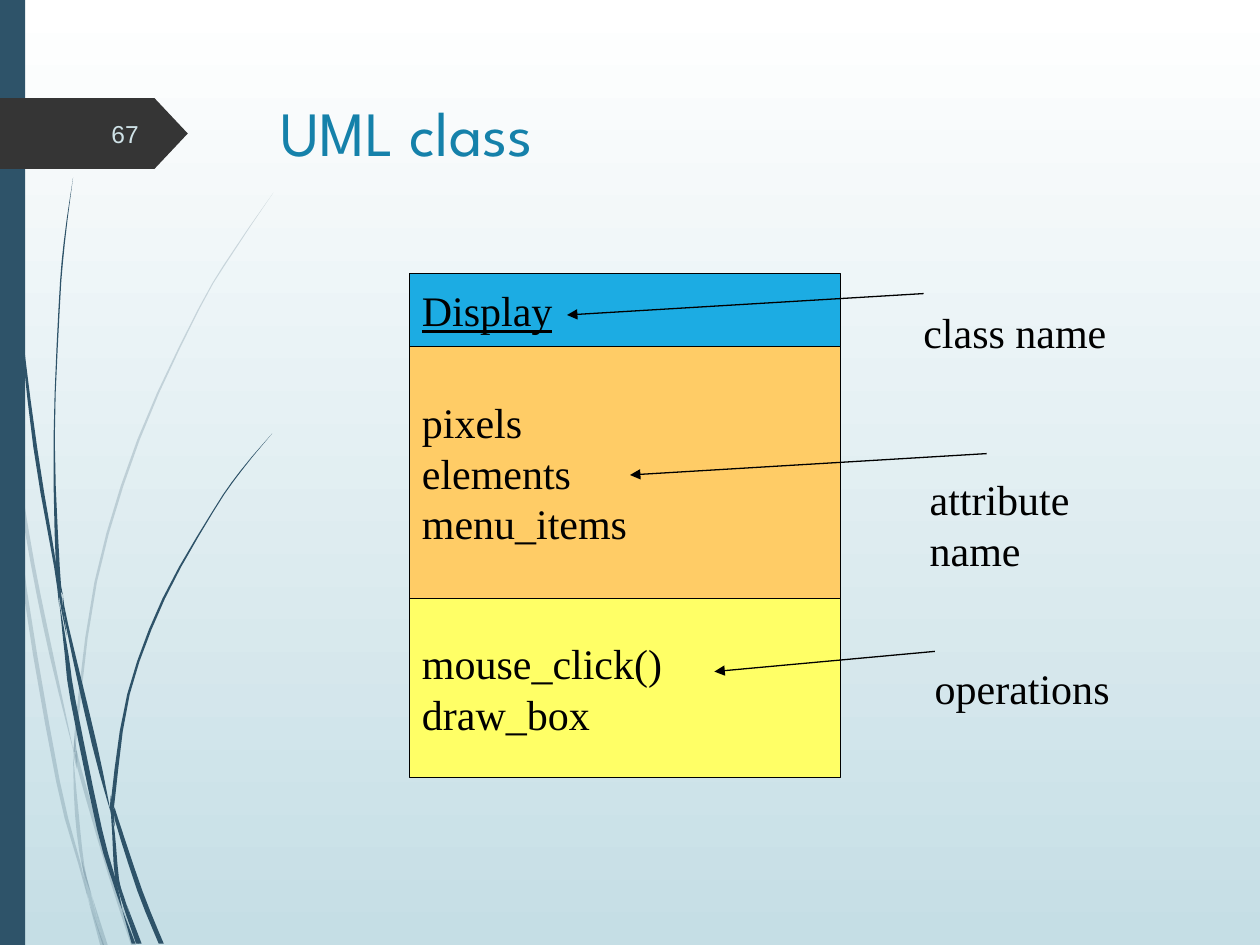
from lxml import etree
from pptx import Presentation
from pptx.dml.color import RGBColor
from pptx.enum.shapes import MSO_CONNECTOR, MSO_SHAPE
from pptx.enum.text import MSO_ANCHOR, MSO_AUTO_SIZE, PP_ALIGN
from pptx.oxml.ns import qn
from pptx.util import Inches, Pt

RECT, PENTAGON = MSO_SHAPE.RECTANGLE, MSO_SHAPE.PENTAGON
STRAIGHT = MSO_CONNECTOR.STRAIGHT
TOP, MIDDLE = MSO_ANCHOR.TOP, MSO_ANCHOR.MIDDLE
LEFT, RIGHT = PP_ALIGN.LEFT, PP_ALIGN.RIGHT
FIT_SHAPE = MSO_AUTO_SIZE.SHAPE_TO_FIT_TEXT

WHITE = RGBColor(0xFF, 0xFF, 0xFF)
BLACK = RGBColor(0x00, 0x00, 0x00)
MIST = RGBColor(0xC5, 0xDE, 0xE5)
NAVY = RGBColor(0x2E, 0x53, 0x69)
CHARCOAL = RGBColor(0x35, 0x35, 0x35)
TEAL = RGBColor(0x15, 0x81, 0xAA)
PALE = RGBColor(0xCF, 0xE2, 0xE7)
BLUE = RGBColor(0x1C, 0xAC, 0xE3)
ORANGE = RGBColor(0xFF, 0xCC, 0x66)
YELLOW = RGBColor(0xFF, 0xFF, 0x66)

W, H = 10, 7.5
STEPS = 3  # curve samples between two knots
UNITS = 1000  # outline units to the inch

# Grass blades: (x, y, thickness) knots from tip to root
FAINT_BLADES = [
    [(0.01, 2.82, 0), (0.04, 3.17, 0.02), (0.08, 3.5, 0)],
    [(0.1, 3.45, 0), (0.13, 3.7, 0.03), (0.26, 4.48, 0.03), (0.41, 5.21, 0.03),
     (0.59, 5.99, 0)],
    [(0.61, 5.96, 0), (0.63, 6.1, 0.03), (0.87, 6.93, 0.03), (1.06, 7.5, 0.04)],
    [(0.73, 7.11, 0), (0.84, 7.5, 0.03)],
    [(0.08, 3.5, 0), (0.2, 4.69, 0.03), (0.46, 6.2, 0.03), (0.63, 6.85, 0.02),
     (0.7, 7.14, 0)],
    [(0.58, 5.99, 0), (0.61, 6.46, 0.03), (0.66, 6.87, 0.02), (0.73, 7.11, 0)],
    [(2.17, 1.53, 0), (1.87, 1.97, 0.01), (1.58, 2.45, 0.01), (1.1, 3.49, 0.02),
     (0.76, 4.62, 0.02), (0.6, 5.84, 0.02), (0.61, 5.96, 0)],
    [(0.7, 7.14, 0), (0.81, 7.5, 0.03)],
    [(0.59, 5.86, 0), (0.6, 5.99, 0.03), (0.61, 6.1, 0)],
    [(0.65, 6.83, 0), (0.7, 7.07, 0.03), (0.82, 7.5, 0.01)],
]
DARK_BLADES = [
    [(0.02, 0, 0.01), (0.05, 1.1, 0.01), (0.14, 2.33, 0.01), (0.28, 3.55, 0.03),
     (0.44, 4.5, 0.02), (0.47, 4.81, 0)],
    [(0.5, 4.72, 0), (0.53, 4.95, 0.02), (0.75, 5.91, 0.04), (0.88, 6.45, 0)],
    [(0.91, 6.41, 0), (0.93, 6.52, 0.03), (1.11, 7.07, 0.04), (1.28, 7.49, 0.04)],
    [(0.47, 4.77, 0), (0.53, 5.2, 0.03), (0.58, 5.56, 0.04), (0.79, 6.58, 0.04),
     (0.91, 7, 0.03), (0.97, 7.22, 0)],
    [(0.58, 1.41, 0), (0.51, 1.93, 0.01), (0.47, 2.44, 0.01), (0.43, 3.49, 0.01),
     (0.46, 4.51, 0.03), (0.5, 4.72, 0)],
    [(1.01, 7.19, 0), (1.11, 7.49, 0.03)],
    [(0.45, 4.49, 0), (0.48, 4.74, 0.02), (0.53, 5.05, 0)],
    [(2.16, 3.44, 0), (1.91, 3.74, 0.01), (1.69, 4.06, 0.01), (1.3, 4.75, 0.02),
     (1.02, 5.51, 0.02), (0.9, 6.32, 0.03), (0.91, 6.41, 0)],
    [(0.97, 7.22, 0), (1.06, 7.49, 0.03)],
    [(0.88, 6.45, 0), (0.9, 6.6, 0.02), (0.93, 6.98, 0.03), (1, 7.19, 0)],
    [(0.88, 6.31, 0), (0.89, 6.43, 0.03), (0.91, 6.56, 0)],
    [(0.91, 6.91, 0), (0.97, 7.12, 0.03), (1.09, 7.49, 0.02)],
]


def inches(*values):
    return [Inches(v) for v in values]


def paint(shape, fill, line=None):
    shape.shadow.inherit = False
    shape.fill.solid()
    shape.fill.fore_color.rgb = fill
    if line is None:
        shape.line.fill.background()
    else:
        shape.line.color.rgb = line
        shape.line.width = Pt(0.75)


def write(sp, text, size=24, font="Times New Roman", color=BLACK, align=LEFT,
          anchor=TOP, underline=None, wrap=True):
    tf = sp.text_frame
    tf.word_wrap = wrap
    tf.vertical_anchor = anchor
    if not wrap:
        tf.auto_size = FIT_SHAPE
    for i, line in enumerate(text.split("\n")):
        p = tf.add_paragraph() if i else tf.paragraphs[0]
        p.alignment = align
        r = p.add_run()
        r.text = line
        r.font.size, r.font.name = Pt(size), font
        r.font.color.rgb = color
        r.font.underline = underline


def add_text(s, box, text, **fmt):
    write(s.shapes.add_textbox(*inches(*box)), text, **fmt)


def smooth(knots):
    """Catmull-Rom curve through the knots."""
    padded = [knots[0], *knots, knots[-1]]
    curve = []
    for a, b, c, d in zip(padded, padded[1:], padded[2:], padded[3:]):
        for k in range(STEPS):
            t = k / STEPS
            curve.append([q + t / 2 * (u - o + t * (2 * o - 5 * q + 4 * u - v
                          + t * (3 * q - 3 * u + v - o)))
                          for o, q, u, v in zip(a, b, c, d)])
    return curve + [knots[-1]]


def blade(s, knots, opacity=None):
    curve = smooth(knots)
    edges = [(x - w / 2, y) for x, y, w in curve]
    edges += [(x + w / 2, y) for x, y, w in reversed(curve)]
    points = [(max(x, 0) * UNITS, y * UNITS) for x, y in edges]
    builder = s.shapes.build_freeform(*points[0], scale=Inches(1) / UNITS)
    builder.add_line_segments(points[1:])
    sp = builder.convert_to_shape()
    paint(sp, NAVY)
    if opacity:
        clr = sp._element.spPr.find(qn("a:solidFill"))[0]
        etree.SubElement(clr, qn("a:alpha"), val=str(opacity * 1000))


def backdrop(s, w, h):
    fill = s.background.fill
    fill.gradient()
    fill.gradient_angle = 270
    for position, (stop, color) in enumerate(zip(fill.gradient_stops, (WHITE, MIST))):
        stop.color.rgb = color
        stop.position = position
    for knots in FAINT_BLADES:
        blade(s, knots, opacity=20)
    for knots in DARK_BLADES:
        blade(s, knots)
    paint(s.shapes.add_shape(RECT, *inches(0, 0, 0.02 * w, h)), NAVY)


def page_tag(s, x, y, w, h, number):
    tag = s.shapes.add_shape(PENTAGON, *inches(x, y, w, h))
    tag.adjustments[0] = 0.47
    paint(tag, CHARCOAL)
    add_text(s, (x + 0.56, y + 0.08, 0.64, 0.4), number, size=14, font="Arial",
             color=PALE, align=RIGHT, anchor=MIDDLE)


def class_box(s, x, y, w, parts):
    """Stack the compartments of a UML class from the top down."""
    for text, h, fill, underline in parts:
        sp = s.shapes.add_shape(RECT, *inches(x, y, w, h))
        paint(sp, fill, BLACK)
        write(sp, text, anchor=MIDDLE, underline=underline)
        y += h


def callout(s, box, text, start, end):
    line = s.shapes.add_connector(STRAIGHT, *inches(*start, *end))
    line.line.color.rgb = BLACK
    line.line.width = Pt(0.75)
    ln = line._element.spPr.find(qn("a:ln"))
    etree.SubElement(ln, qn("a:tailEnd"), type="triangle")
    etree.SubElement(line._element.spPr, qn("a:effectLst"))
    add_text(s, box, text, wrap=False)


def main():
    prs = Presentation()
    prs.slide_width, prs.slide_height = inches(W, H)
    s = prs.slides.add_slide(prs.slide_layouts[6])

    # Frame of the slide
    backdrop(s, W, H)
    page_tag(s, 0, 0.78, 1.49, 0.56, "67")
    add_text(s, (2.13, 0.69, 7.21, 1.4), "UML class", size=36,
             font="League Spartan", color=TEAL)

    # Class diagram
    class_box(s, 3.25, 2.17, 3.42, [
        ("Display", 0.58, BLUE, True),
        ("pixels\nelements\nmenu_items", 2, ORANGE, None),
        ("mouse_click()\ndraw_box", 1.42, YELLOW, None),
    ])

    # Labels with their arrows
    callout(s, (7.32, 5.21, 1.59, 0.5), "operations", (7.42, 5.17), (5.67, 5.33))
    callout(s, (7.23, 2.38, 1.65, 0.5), "class name", (7.33, 2.33), (4.5, 2.5))
    callout(s, (7.28, 3.71, 2.11, 0.5), "attribute name", (7.83, 3.6), (5, 3.77))

    prs.save("out.pptx")


if __name__ == "__main__":
    main()
